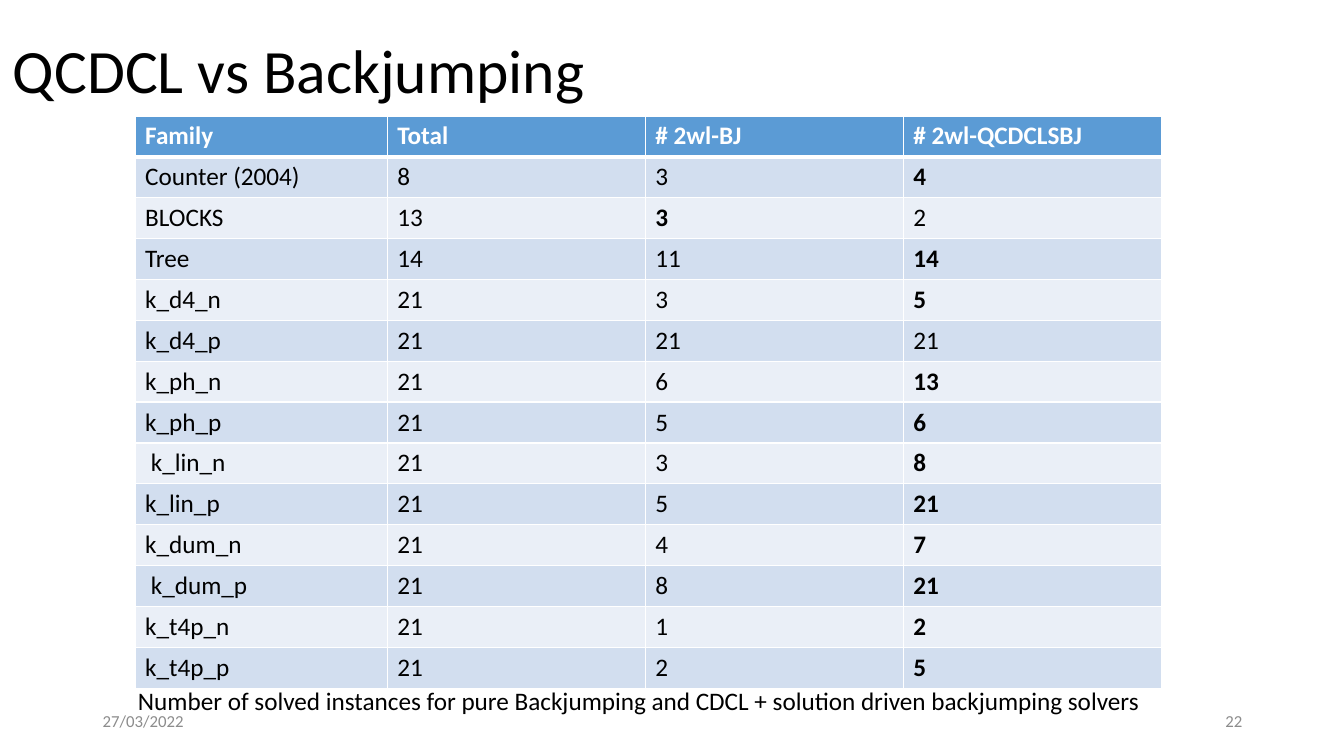
"""Build the slide that compares QCDCL with backjumping in a table of solved instances."""
from lxml import etree
from pptx import Presentation
from pptx import util as u
from pptx.dml.color import RGBColor
from pptx.enum import text
from pptx.oxml.ns import qn

THEME = {
    "font": "Calibri", "ink": "000000", "muted": "8C8C8C", "paper": "FFFFFF",
    "head": "5B9BD5", "bands": ("D2DEEF", "EAEFF7"),
    "title": 44, "body": 18, "footer": 12,
    "rule": 1, "head_rule": 3,
}
HEADINGS = ("Family", "Total", "# 2wl-BJ", "# 2wl-QCDCLSBJ")
RESULTS = [
    ("Counter (2004)", 8, 3, 4),
    ("BLOCKS", 13, 3, 2),
    ("Tree", 14, 11, 14),
    ("k_d4_n", 21, 3, 5),
    ("k_d4_p", 21, 21, 21),
    ("k_ph_n", 21, 6, 13),
    ("k_ph_p", 21, 5, 6),
    (" k_lin_n", 21, 3, 8),
    ("k_lin_p", 21, 5, 21),
    ("k_dum_n", 21, 4, 7),
    (" k_dum_p", 21, 8, 21),
    ("k_t4p_n", 21, 1, 2),
    ("k_t4p_p", 21, 2, 5),
]
CAPTION = ("Number of solved instances for pure Backjumping and "
           "CDCL + solution driven backjumping solvers")
MIDDLE = {"vertical_anchor": text.MSO_ANCHOR.MIDDLE}
TEXTS = [
    ("QCDCL vs Backjumping", (0.03, 0, 11.5, 1.45), "title", "ink", MIDDLE,
     {"line_spacing": 0.9}),
    (CAPTION, (1.27, 6.75, 10.26, 0.4), "body", "ink", {"word_wrap": False}, {}),
    ("27/03/2022", (0.92, 6.95, 3, 0.4), "footer", "muted", MIDDLE, {}),
    ("22", (9.42, 6.95, 3, 0.4), "footer", "muted", MIDDLE,
     {"alignment": text.PP_ALIGN.RIGHT}),
]
TABLE_LEFT, TABLE_TOP, ROW_HEIGHT = 1.34, 1.15, 0.4
COLUMNS = (2.5, 2.56, 2.56, 2.56)


def assign(target, values):
    for name, value in values.items():
        setattr(target, name, value)


def write(frame, words, size, color, bold=False, layout=None):
    para = frame.paragraphs[0]
    assign(para, layout or {})
    span = para.add_run()
    span.text = words
    assign(span.font, {"name": THEME["font"], "size": u.Pt(THEME[size]), "bold": bold})
    span.font.color.rgb = RGBColor.from_string(THEME[color])


def add_text(slide, words, place, size, color, frame_values, layout):
    box = slide.shapes.add_textbox(*map(u.Inches, place))
    assign(box.text_frame, {"word_wrap": True, **frame_values})
    write(box.text_frame, words, size, color, layout=layout)


def add_borders(cell, widths):
    properties = cell._tc.get_or_add_tcPr()
    for position, (side, width) in enumerate(widths.items()):
        line = etree.Element(qn(f"a:ln{side}"), w=str(u.Pt(width)))
        fill = etree.SubElement(line, qn("a:solidFill"))
        etree.SubElement(fill, qn("a:srgbClr"), val=THEME["paper"])
        properties.insert(position, line)


def is_winner(row, column):
    return column >= 2 and row[column] > row[5 - column]


def add_results(slide):
    rows = [HEADINGS, *RESULTS]
    place = (TABLE_LEFT, TABLE_TOP, sum(COLUMNS), ROW_HEIGHT * len(rows))
    table = slide.shapes.add_table(len(rows), len(COLUMNS), *map(u.Inches, place)).table
    for column, width in zip(table.columns, COLUMNS):
        column.width = u.Inches(width)
    for r, row in enumerate(rows):
        heading = r == 0
        fill = THEME["head"] if heading else THEME["bands"][(r - 1) % 2]
        widths = dict.fromkeys("LRTB", THEME["rule"])
        if r < 2:
            widths["B" if heading else "T"] = THEME["head_rule"]
        for c, value in enumerate(row):
            cell = table.cell(r, c)
            cell.fill.solid()
            cell.fill.fore_color.rgb = RGBColor.from_string(fill)
            add_borders(cell, widths)
            write(cell.text_frame, str(value), "body", "paper" if heading else "ink",
                  heading or is_winner(row, c))


deck = Presentation()
assign(deck, {"slide_width": u.Inches(13.33), "slide_height": u.Inches(7.5)})
page = deck.slides.add_slide(deck.slide_layouts[6])
add_results(page)
for item in TEXTS:
    add_text(page, *item)
deck.save("out.pptx")
